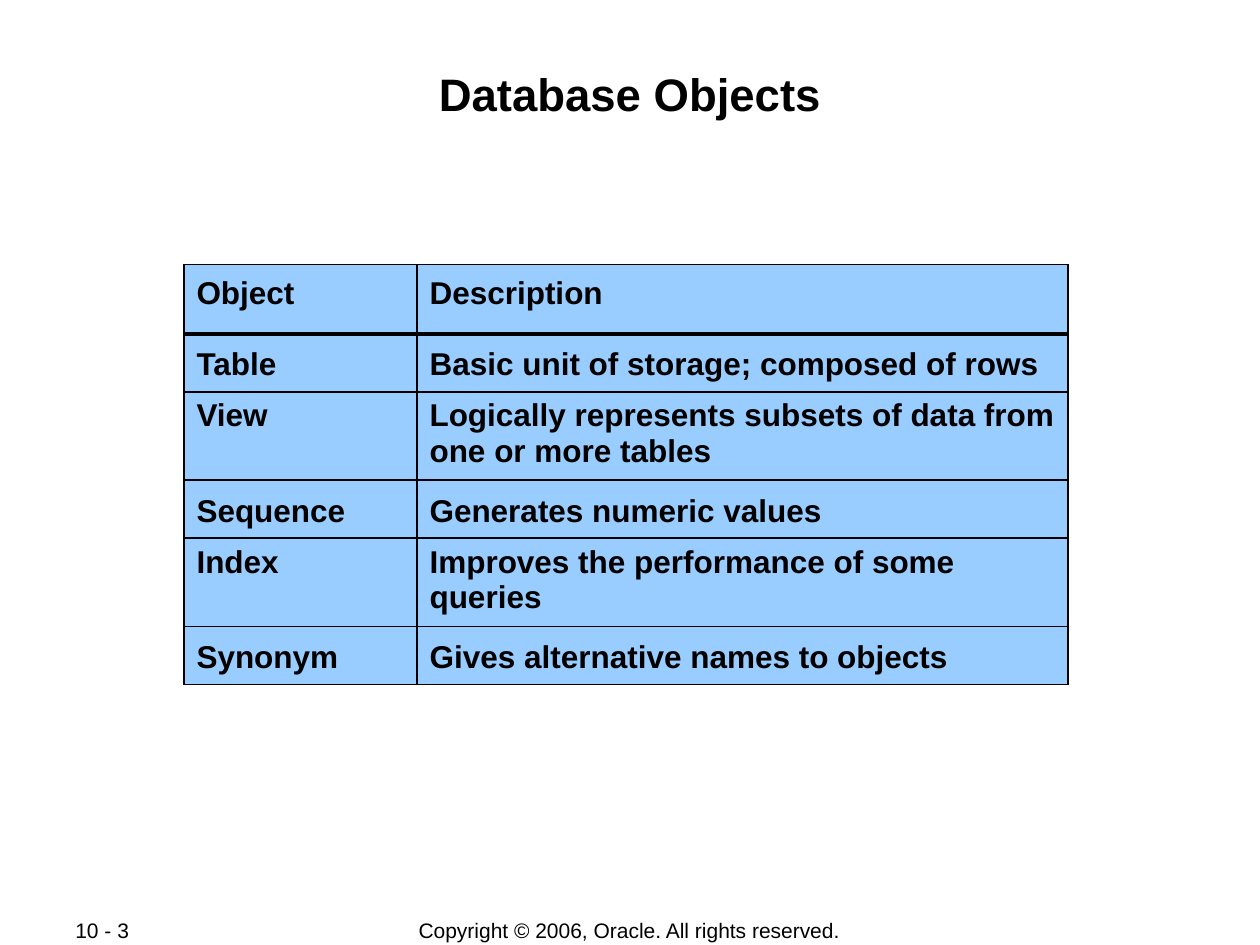
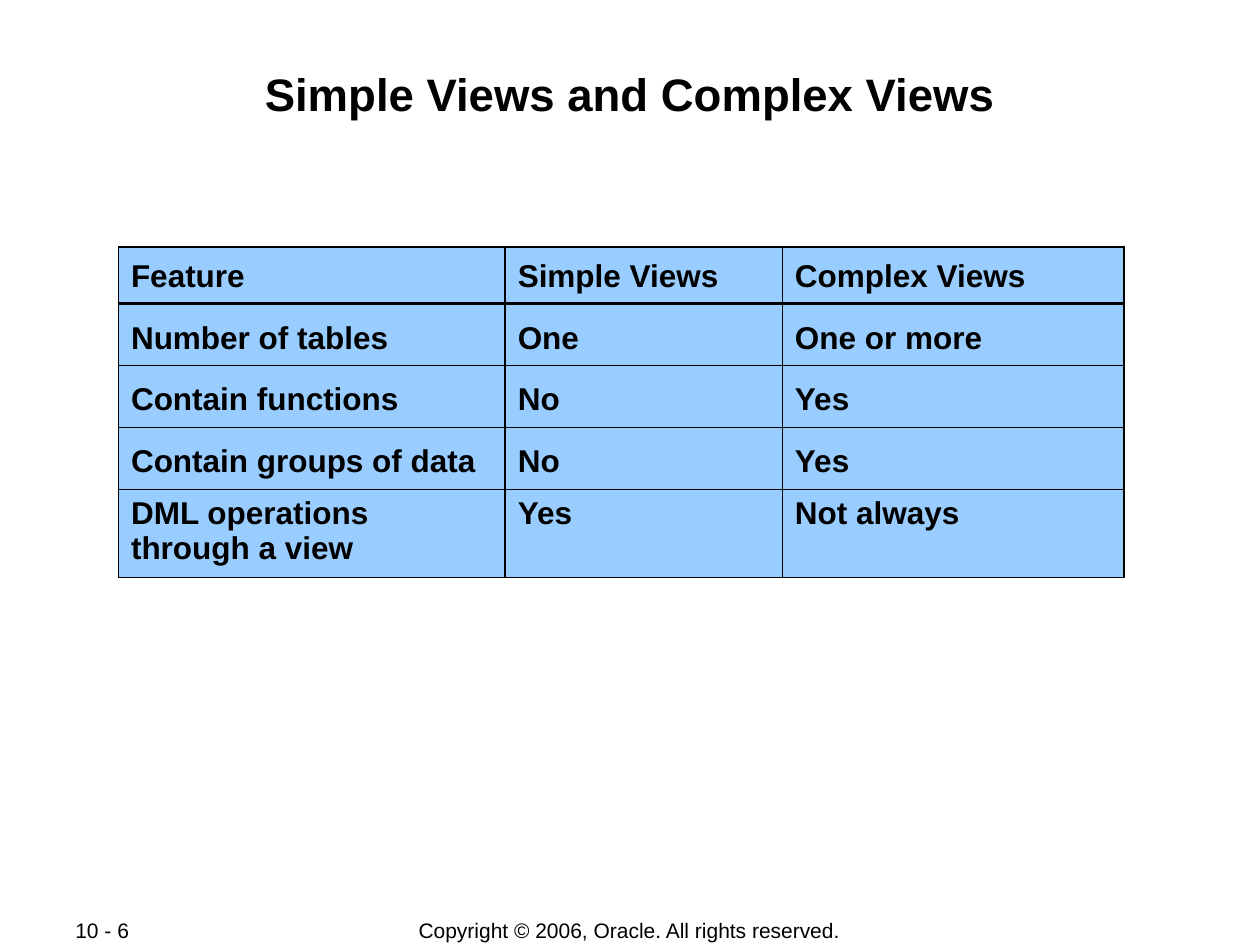
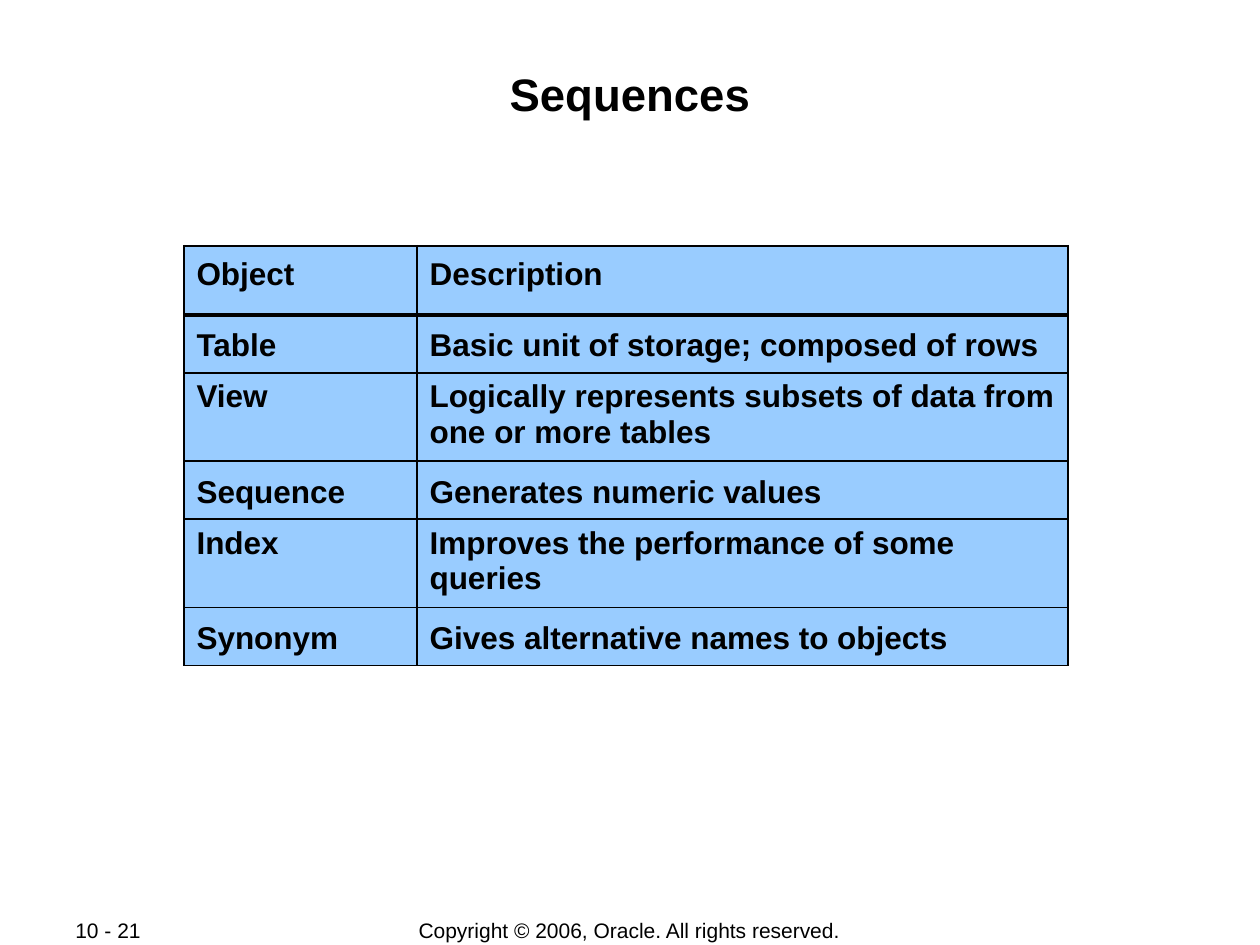
from dataclasses import dataclass

from lxml import etree
from pptx import Presentation
from pptx.dml.color import RGBColor
from pptx.enum.text import MSO_ANCHOR, PP_ALIGN
from pptx.oxml.ns import qn
from pptx.util import Pt

LEFT, CENTER = PP_ALIGN.LEFT, PP_ALIGN.CENTER
TOP, MIDDLE = MSO_ANCHOR.TOP, MSO_ANCHOR.MIDDLE

COLORS = {"text": "000000", "border": "000000", "cell": "99CCFF"}
FONT = "Arial"
COPYRIGHT = "Copyright © 2006, Oracle. All rights reserved."
THIN, THICK = 1.08, 2.21
HEADER_SPACING = 1.15


@dataclass(frozen=True)
class TextStyle:
    size: float
    bold: bool = False
    align: PP_ALIGN = LEFT
    spacing: float = 1.0


@dataclass(frozen=True)
class Box:
    left: float
    top: float
    width: float
    height: float
    style: TextStyle
    anchor: MSO_ANCHOR = MIDDLE
    inset_x: float = 7.2
    inset_y: float = 0


@dataclass(frozen=True)
class Row:
    height: float
    spacing: float
    cells: tuple[str, ...]


@dataclass(frozen=True)
class TableSlide:
    title: str
    page: str
    left: float
    top: float
    widths: tuple[float, ...]
    rows: tuple[Row, ...]


TITLE = Box(48.2, 34.6, 623.6, 69.1, TextStyle(26, True, CENTER), TOP, 0.72, 3)
FOOTER = Box(198, 524.2, 323.3, 15.1, TextStyle(12, align=CENTER))
PAGE = Box(36, 524.2, 76.3, 14.4, TextStyle(12))

OBJECT_WIDTHS = (133.2, 372.2)
OBJECT_ROWS = (
    Row(39.6, HEADER_SPACING, ("Object", "Description")),
    Row(33.1, 1.2, ("Table", "Basic unit of storage; composed of rows")),
    Row(50.4, 1, ("View", "Logically represents subsets of data from one or more tables")),
    Row(33.1, 1.2, ("Sequence", "Generates numeric values")),
    Row(50.4, 1, ("Index", "Improves the performance of some queries")),
    Row(33.1, 1.2, ("Synonym", "Gives alternative names to objects")),
)
VIEW_ROWS = (
    Row(32.4, HEADER_SPACING, ("Feature", "Simple Views", "Complex Views")),
    Row(35.4, 1.3, ("Number of tables", "One", "One or more")),
    Row(35.4, 1.3, ("Contain functions", "No", "Yes")),
    Row(35.4, 1.3, ("Contain groups of data", "No", "Yes")),
    Row(50.4, 1, ("DML operations through a view", "Yes", "Not always")),
)
SLIDES = (
    TableSlide("Database Objects", "10 - 3", 105.1, 151.2, OBJECT_WIDTHS, OBJECT_ROWS),
    TableSlide("Simple Views and Complex Views", "10 - 6", 67.7, 141.1,
               (221, 158.4, 195.1), VIEW_ROWS),
    TableSlide("Sequences", "10 - 21", 105.1, 140.4, OBJECT_WIDTHS, OBJECT_ROWS),
)


def write_text(tf, text: str, style: TextStyle) -> None:
    p = tf.paragraphs[0]
    p.text = text
    p.alignment = style.align
    p.line_spacing = style.spacing
    p.font.name = FONT
    p.font.size = Pt(style.size)
    p.font.bold = style.bold
    p.font.color.rgb = RGBColor.from_string(COLORS["text"])


def add_text(s, box: Box, text: str) -> None:
    sp = s.shapes.add_textbox(Pt(box.left), Pt(box.top), Pt(box.width), Pt(box.height))
    tf = sp.text_frame
    tf.word_wrap = True
    tf.vertical_anchor = box.anchor
    tf.margin_left = tf.margin_right = Pt(box.inset_x)
    tf.margin_top = tf.margin_bottom = Pt(box.inset_y)
    write_text(tf, text, box.style)


def set_borders(cell, top: float, bottom: float) -> None:
    """Draw all four cell borders; must run before the cell is filled."""
    tc_pr = cell._tc.get_or_add_tcPr()
    for side, width in (("L", THIN), ("R", THIN), ("T", top), ("B", bottom)):
        ln = etree.SubElement(tc_pr, qn(f"a:ln{side}"), w=str(int(Pt(width))))
        fill = etree.SubElement(ln, qn("a:solidFill"))
        etree.SubElement(fill, qn("a:srgbClr"), val=COLORS["border"])


def add_grid(s, spec: TableSlide) -> None:
    height = sum(row.height for row in spec.rows)
    table = s.shapes.add_table(len(spec.rows), len(spec.widths), Pt(spec.left), Pt(spec.top),
                               Pt(sum(spec.widths)), Pt(height)).table
    table.first_row = table.horz_banding = False
    for column, width in zip(table.columns, spec.widths):
        column.width = Pt(width)
    for i, row in enumerate(spec.rows):
        table.rows[i].height = Pt(row.height)
        style = TextStyle(18, True, spacing=row.spacing)
        for j, text in enumerate(row.cells):
            cell = table.cell(i, j)
            cell.margin_left = cell.margin_right = Pt(7.2)
            cell.margin_top = cell.margin_bottom = Pt(3.6)
            set_borders(cell, THICK if i == 1 else THIN, THICK if i == 0 else THIN)
            cell.fill.solid()
            cell.fill.fore_color.rgb = RGBColor.from_string(COLORS["cell"])
            write_text(cell.text_frame, text, style)


def main() -> None:
    prs = Presentation()
    prs.slide_width, prs.slide_height = Pt(720), Pt(540)
    for spec in SLIDES:
        s = prs.slides.add_slide(prs.slide_layouts[6])
        add_text(s, FOOTER, COPYRIGHT)
        add_text(s, PAGE, spec.page)
        add_text(s, TITLE, spec.title)
        add_grid(s, spec)
    prs.save("out.pptx")


if __name__ == "__main__":
    main()
